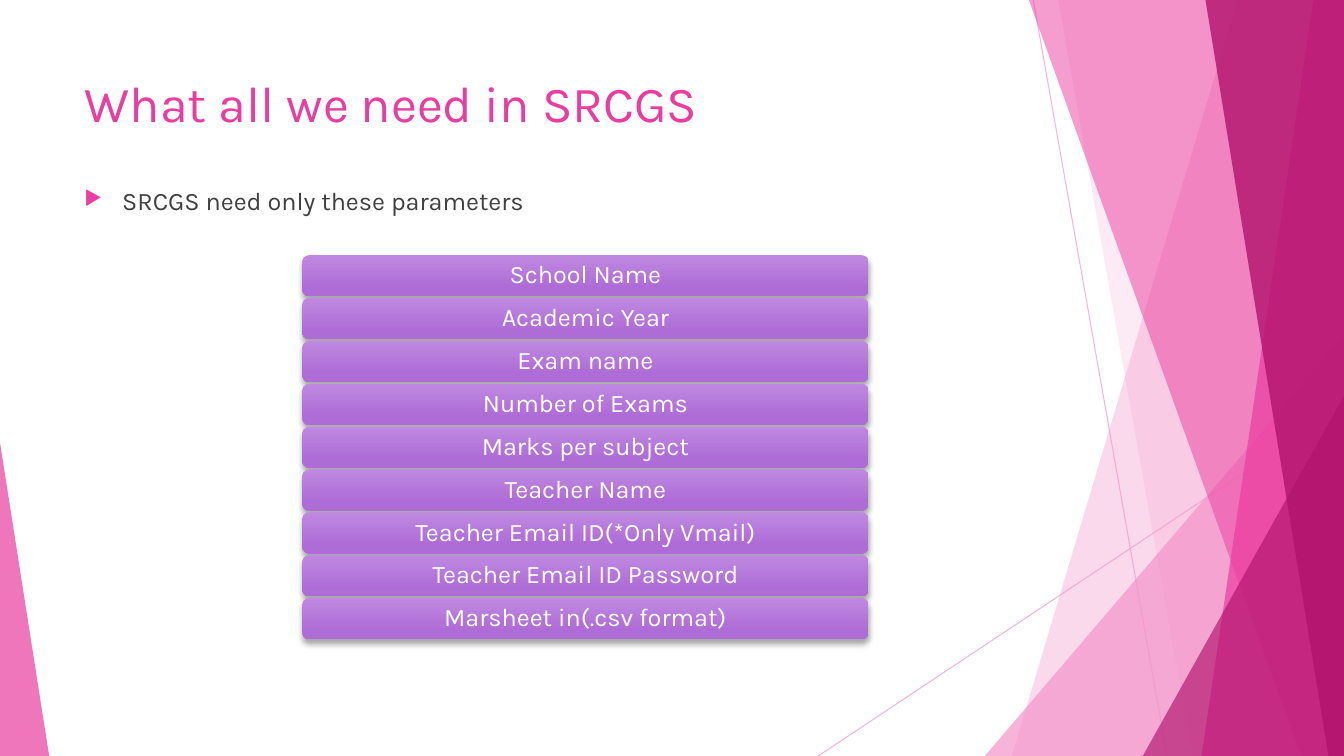
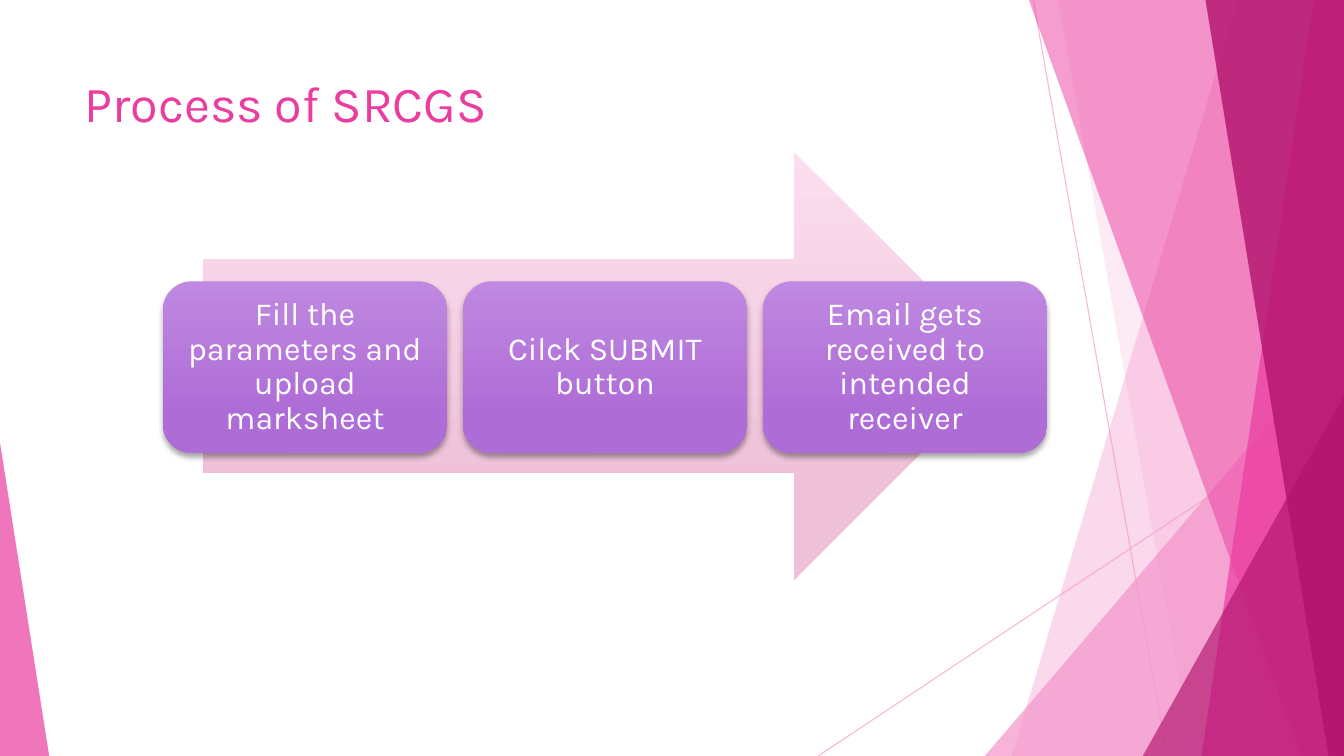
from dataclasses import dataclass
from typing import Any

from lxml.etree import SubElement
from pptx import Presentation
from pptx.dml.color import RGBColor
from pptx.enum.shapes import MSO_CONNECTOR as Connector, MSO_SHAPE as Shape
from pptx.enum.text import MSO_ANCHOR as Anchor, MSO_AUTO_SIZE as AutoSize, PP_ALIGN as Align
from pptx.oxml.ns import qn
from pptx.util import Cm, Pt

FONT = "Karla"
WIDTH, HEIGHT = 33.87, 19.05
MARGIN, TITLE_W = 1.88, 23.88

PINK = RGBColor(0xEB, 0x3D, 0x9F)
LIGHT_PINK = RGBColor(0xF4, 0x96, 0xCB)
DARK_PINK = RGBColor(0xB2, 0x13, 0x6D)
GREY = RGBColor(0x40, 0x40, 0x40)
WHITE = RGBColor(0xFF, 0xFF, 0xFF)
PURPLES = RGBColor(0xBF, 0x88, 0xE1), RGBColor(0xAE, 0x6D, 0xD6)
ARROW_PINKS = RGBColor(0xFB, 0xDE, 0xED), RGBColor(0xEE, 0xC1, 0xD8)

PARAMETERS = (
    "School Name", "Academic Year", "Exam name", "Number of Exams", "Marks per subject",
    "Teacher Name", "Teacher Email ID(*Only Vmail)", "Teacher Email ID Password",
    "Marsheet in(.csv format)",
)
STEPS = (
    "Fill the parameters and upload marksheet",
    "Cilck SUBMIT button",
    "Email gets received to intended receiver",
)


@dataclass(frozen=True)
class Ray:
    """Thin line across the backdrop."""
    x1: float
    y1: float
    x2: float
    y2: float


@dataclass(frozen=True)
class Band:
    """Full-height band from a slanted left edge to the right slide edge."""
    top_x: float
    bottom_x: float
    color: RGBColor
    alpha: int


@dataclass(frozen=True)
class Wedge:
    """Triangle standing on the bottom edge; apex is 0 (left) or 1 (right)."""
    left: float
    width: float
    height: float
    apex: int
    color: RGBColor
    alpha: int


@dataclass(frozen=True)
class Cards:
    """Equal rounded cards, each one step further on."""
    left: float
    top: float
    width: float
    height: float
    step_x: float
    step_y: float
    size: int
    inset: float


RAYS = (Ray(26.04, 0, 29.41, HEIGHT), Ray(WIDTH, 10.24, 20.62, HEIGHT))
PANELS = (
    Band(31.19, 25.5, LIGHT_PINK, 36),
    Band(26.67, 30.05, LIGHT_PINK, 20),
    Wedge(24.82, 9.05, 10.59, 1, LIGHT_PINK, 72),
    Band(25.93, 32.79, PINK, 50),
    Band(33.1, 30.28, PINK, 70),
    Band(30.38, 33.48, DARK_PINK, 80),
    Wedge(28.8, 5.07, 9.07, 1, DARK_PINK, 66),
    Wedge(0, 1.24, 7.9, 0, PINK, 70),
)
BARS = Cards(7.62, 6.43, 14.27, 1.04, 0, 1.08, 18, 0.05)
TILES = Cards(4.11, 7.09, 7.16, 4.32, 7.56, 0, 23, 0.25)


def apply(obj: Any, **values: Any) -> None:
    for name, value in values.items():
        setattr(obj, name, value)


def set_alpha(sp: Any, percent: int) -> None:
    for color in sp.element.xpath("./p:spPr//a:srgbClr"):
        SubElement(color, qn("a:alpha"), val=str(percent * 1000))


def fill_gradient(sp: Any, colors: tuple[RGBColor, RGBColor]) -> None:
    sp.shadow.inherit = False
    sp.line.fill.background()
    sp.fill.gradient()
    sp.fill.gradient_angle = 270
    for stop, color, position in zip(sp.fill.gradient_stops, colors, (0, 0.78)):
        stop.color.rgb = color
        stop.position = position


def add_shadow(sp: Any) -> None:
    effects = sp.element.spPr.find(qn("a:effectLst"))
    shadow = SubElement(effects, qn("a:outerShdw"), blurRad=str(Pt(4)), dist=str(Pt(3)),
                        dir="5400000", algn="ctr", rotWithShape="0")
    color = SubElement(shadow, qn("a:srgbClr"), val="000000")
    SubElement(color, qn("a:alpha"), val="35000")


def write(tf: Any, text: str, size: int, color: RGBColor, align: Align = Align.LEFT) -> Any:
    apply(tf, word_wrap=True, auto_size=AutoSize.NONE)
    p = tf.paragraphs[0]
    p.alignment = align
    r = p.add_run()
    r.text = text
    apply(r.font, name=FONT, size=Pt(size))
    r.font.color.rgb = color
    return p


def add_ray(slide: Any, ray: Ray) -> Any:
    line = slide.shapes.add_connector(
        Connector.STRAIGHT, Cm(ray.x1), Cm(ray.y1), Cm(ray.x2), Cm(ray.y2))
    line.line.width = Pt(0.75)
    line.line.color.rgb = LIGHT_PINK
    set_alpha(line, 70)
    SubElement(line.element.spPr, qn("a:effectLst"))
    return line


def add_panel(slide: Any, panel: Band | Wedge) -> Any:
    if isinstance(panel, Band):
        outline = slide.shapes.build_freeform(Cm(panel.top_x), 0)
        outline.add_line_segments([
            (Cm(WIDTH), 0), (Cm(WIDTH), Cm(HEIGHT)), (Cm(panel.bottom_x), Cm(HEIGHT))])
        sp = outline.convert_to_shape()
    else:
        sp = slide.shapes.add_shape(
            Shape.ISOSCELES_TRIANGLE, Cm(panel.left), Cm(HEIGHT - panel.height),
            Cm(panel.width), Cm(panel.height))
        sp.adjustments[0] = panel.apex
    sp.shadow.inherit = False
    sp.line.fill.background()
    sp.fill.solid()
    sp.fill.fore_color.rgb = panel.color
    set_alpha(sp, panel.alpha)
    return sp


def add_backdrop(slide: Any) -> None:
    """Draw the backdrop on the slide, then move it to the layout all slides share."""
    parts = [add_ray(slide, ray) for ray in RAYS]
    parts += [add_panel(slide, panel) for panel in PANELS]
    tree = slide.slide_layout.shapes.element
    for i, part in enumerate(parts):
        part.element.xpath(".//p:cNvPr")[0].set("id", str(100 + i))
        tree.insert(2 + i, part.element)


def add_titled_slide(prs: Any, title: str) -> Any:
    slide = prs.slides.add_slide(prs.slide_layouts[5])
    sp = slide.shapes.title
    apply(sp, left=Cm(MARGIN), top=Cm(1.7), width=Cm(TITLE_W), height=Cm(3.66))
    sp.text_frame.vertical_anchor = Anchor.TOP
    write(sp.text_frame, title, 36, PINK)
    return slide


def add_bullet(slide: Any, text: str) -> None:
    box = slide.shapes.add_textbox(Cm(MARGIN), Cm(4.55), Cm(TITLE_W), Cm(1.2))
    p = write(box.text_frame, text, 18, GREY)
    props = p._p.get_or_add_pPr()
    props.set("marL", str(Cm(0.95)))
    props.set("indent", str(-Cm(0.95)))
    SubElement(SubElement(props, qn("a:buClr")), qn("a:srgbClr"), val=str(PINK))
    SubElement(props, qn("a:buSzPct"), val="80000")
    SubElement(props, qn("a:buChar"), char="▶")


def add_cards(slide: Any, cards: Cards, texts: tuple[str, ...]) -> None:
    for i, text in enumerate(texts):
        sp = slide.shapes.add_shape(
            Shape.ROUNDED_RECTANGLE, Cm(cards.left + i * cards.step_x),
            Cm(cards.top + i * cards.step_y), Cm(cards.width), Cm(cards.height))
        fill_gradient(sp, PURPLES)
        add_shadow(sp)
        tf = sp.text_frame
        tf.vertical_anchor = Anchor.MIDDLE
        sides = ("left", "top", "right", "bottom")
        apply(tf, **{f"margin_{side}": Cm(cards.inset) for side in sides})
        write(tf, text, cards.size, WHITE, Align.CENTER).line_spacing = 0.9


def build_parameters(prs: Any) -> Any:
    slide = add_titled_slide(prs, "What all we need in SRCGS")
    add_bullet(slide, "SRCGS need only these parameters")
    add_cards(slide, BARS, PARAMETERS)
    return slide


def build_process(prs: Any) -> None:
    slide = add_titled_slide(prs, "Process of SRCGS")
    arrow = slide.shapes.add_shape(Shape.RIGHT_ARROW, Cm(5.11), Cm(3.84), Cm(20.29), Cm(10.77))
    fill_gradient(arrow, ARROW_PINKS)
    add_cards(slide, TILES, STEPS)


def main() -> None:
    prs = Presentation()
    apply(prs, slide_width=Cm(WIDTH), slide_height=Cm(HEIGHT))
    add_backdrop(build_parameters(prs))
    build_process(prs)
    prs.save("out.pptx")


if __name__ == "__main__":
    main()
